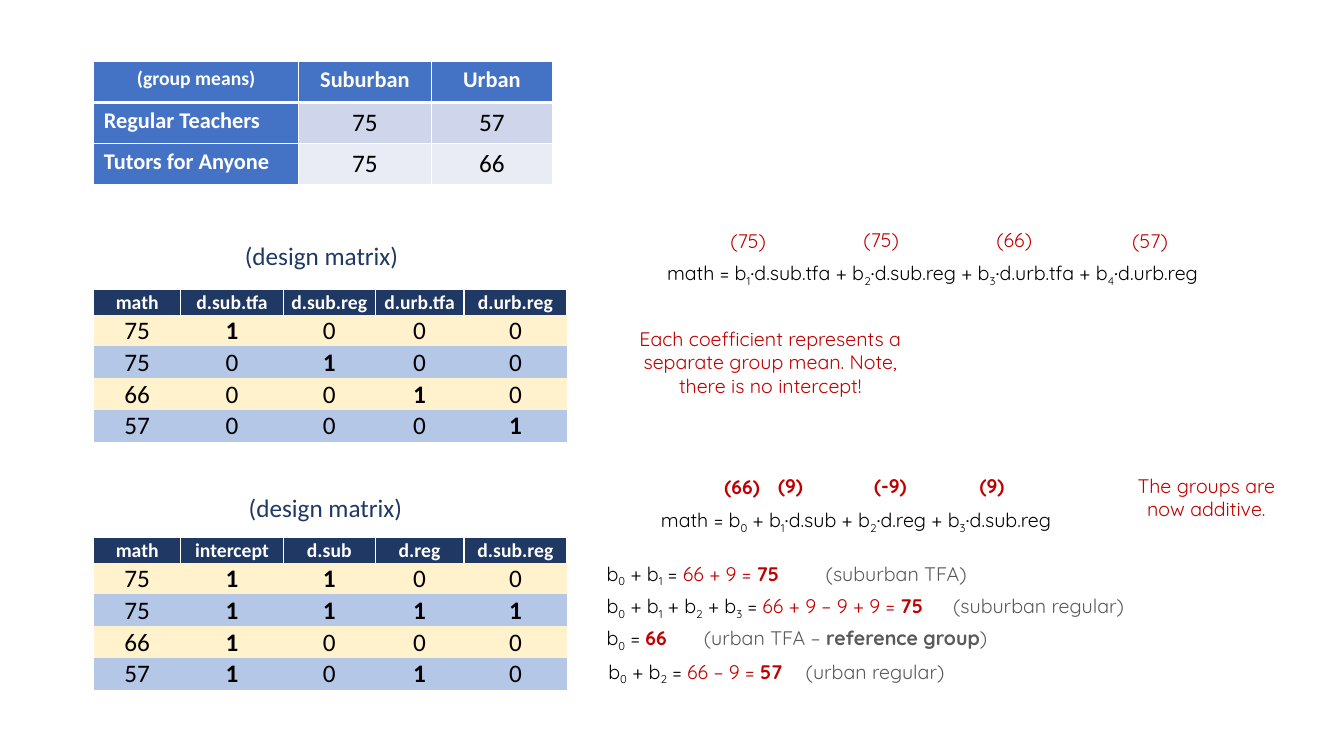
from dataclasses import dataclass
from itertools import cycle
from typing import NamedTuple

from lxml.etree import SubElement
from pptx import Presentation
from pptx.dml.color import RGBColor
from pptx.enum.text import MSO_ANCHOR, PP_ALIGN
from pptx.oxml.ns import qn
from pptx.util import Pt

COLORS = {
    "white": "FFFFFF", "black": "000000", "navy": "203864", "red": "C00000",
    "gray": "595959", "cream": "FFF2CC", "sky": "B4C7E7",
    "blue": "4472C4", "dusk": "CFD5EA", "mist": "E9EBF5",
}
PLAIN = "{2D5ABB26-0587-4C30-8999-92F81FD0307C}"  # table style without grid
LEFT, CENTER = PP_ALIGN.LEFT, PP_ALIGN.CENTER


class Run(NamedTuple):
    text: str
    color: str = "black"
    bold: bool = False
    size: float = 14
    font: str = "Quicksand"
    sub: bool = False


class Box(NamedTuple):
    left: float
    top: float
    width: float
    height: float = 24.5


class Answer(NamedTuple):
    left: float
    top: float
    terms: str
    total: str
    mean: str
    tab: float
    label: list[Run]


@dataclass
class Matrix:
    top: float
    heads: list[str]
    rows: list[str]


def rgb(name: str) -> RGBColor:
    return RGBColor.from_string(COLORS[name])


def add_run(para, item: Run) -> None:
    run = para.add_run()
    run.text = item.text
    font = run.font
    font.name, font.size, font.bold = item.font, Pt(item.size), item.bold
    font.color.rgb = rgb(item.color)
    if item.sub:
        run._r.get_or_add_rPr().set("baseline", "-25000")


def add_text(box: Box, runs: list[Run], align=LEFT, tab: float = 0) -> None:
    frame = slide.shapes.add_textbox(*map(Pt, box)).text_frame
    frame.word_wrap = True
    para = frame.paragraphs[0]
    para.alignment = align
    if tab:
        stops = SubElement(para._p.get_or_add_pPr(), qn("a:tabLst"))
        SubElement(stops, qn("a:tab"), pos=str(Pt(tab)), algn="l")
    for item in runs:
        add_run(para, item)


def split_terms(text: str) -> list[Run]:
    """Turn the digit after each underscore into a subscript."""
    first, *rest = text.split("_")
    runs = [Run(first)]
    for part in rest:
        runs += [Run(part[0], sub=True), Run(part[1:])]
    return runs


def add_grid(left: float, top: float, cols: list[float], rows: list[float]):
    box = Box(left, top, sum(cols), sum(rows))
    grid = slide.shapes.add_table(len(rows), len(cols), *map(Pt, box)).table
    grid.first_row = grid.horz_banding = False
    grid._tbl.tblPr.find(qn("a:tableStyleId")).text = PLAIN
    for col, width in zip(grid.columns, cols):
        col.width = Pt(width)
    for row, height in zip(grid.rows, rows):
        row.height = Pt(height)
    return grid


def fill_cell(cell, item: Run, fill: str, edges: dict[str, float], align=CENTER) -> None:
    para = cell.text_frame.paragraphs[0]
    para.alignment = align
    add_run(para, item)
    props = cell._tc.get_or_add_tcPr()
    for side, width in edges.items():
        line = SubElement(props, qn(f"a:ln{side}"), w=str(Pt(width)))
        paint = SubElement(line, qn("a:solidFill"))
        SubElement(paint, qn("a:srgbClr"), val=COLORS["white"])
    cell.fill.solid()
    cell.fill.fore_color.rgb = rgb(fill)


def add_matrix(matrix: Matrix) -> None:
    grid = add_grid(67, matrix.top, [62, 73.5, 65.5, 63.5, 73.5], [18] + [22.65] * 4)
    for col, head in enumerate(matrix.heads):
        fill_cell(grid.cell(0, col), Run(head, "white", True, 14, "Calibri"),
                  "navy", {"L": 1, "R": 1, "T": 1})
    for row, (line, fill) in enumerate(zip(matrix.rows, cycle(["cream", "sky"])), 1):
        for col, value in enumerate(line.split()):
            fill_cell(grid.cell(row, col), Run(value, "black", value == "1", 18, "Calibri"),
                      fill, {})
    for cell in grid.iter_cells():
        cell.vertical_anchor = MSO_ANCHOR.BOTTOM
        cell.margin_left = cell.margin_right = cell.margin_top = Pt(0.7)
        cell.margin_bottom = Pt(0)


deck = Presentation()
deck.slide_width, deck.slide_height = Pt(960), Pt(540)
slide = deck.slides.add_slide(deck.slide_layouts[6])

# Group means
MEANS = [
    (["(group means)", "Suburban", "Urban"], "blue"),
    (["Regular Teachers", "75", "57"], "dusk"),
    (["Tutors for Anyone", "75", "66"], "mist"),
]
means = add_grid(67, 44, [146.2, 95, 86.4], [29.2] * 3)
for row, (values, fill) in enumerate(MEANS):
    for col, value in enumerate(values):
        head = row == 0 or col == 0
        size = 14 if row == col == 0 else 16 if head else 18
        fill_cell(means.cell(row, col),
                  Run(value, "white" if head else "black", head, size, "Calibri"),
                  "blue" if head else fill,
                  {"L": 1, "R": 1, "T": 3 if row == 1 else 1, "B": 3 if row == 0 else 1},
                  LEFT if row and col == 0 else CENTER)

# Design matrices
for matrix in [
    Matrix(206.8, ["math", "d.sub.tfa", "d.sub.reg", "d.urb.tfa", "d.urb.reg"],
           ["75 1 0 0 0", "75 0 1 0 0", "66 0 0 1 0", "57 0 0 0 1"]),
    Matrix(383.8, ["math", "intercept", "d.sub", "d.reg", "d.sub.reg"],
           ["75 1 1 0 0", "75 1 1 1 1", "66 1 0 0 0", "57 1 0 1 0"]),
]:
    add_matrix(matrix)
for left, top in [(167.8, 168), (170.6, 348)]:
    add_text(Box(left, top, 132, 29),
             [Run("(design matrix)", "navy", size=18, font="Calibri")])

# Model equations
add_text(Box(469.4, 183, 437),
         split_terms("math = b_1∙d.sub.tfa + b_2∙d.sub.reg + b_3∙d.urb.tfa + b_4∙d.urb.reg"))
add_text(Box(465, 359.5, 328),
         split_terms("math = b_0 + b_1∙d.sub + b_2∙d.reg + b_3∙d.sub.reg"))

# Coefficient values above the equations
for value, left, top, bold in [
    ("(75)", 504, 160, False), ("(75)", 599, 159, False),
    ("(66)", 694, 159, False), ("(57)", 791, 160, False),
    ("(66)", 499.7, 336, True), ("(9)", 534.2, 335, True),
    ("(-9)", 605.5, 335, True), ("(9)", 678.2, 335, True),
]:
    add_text(Box(left, top, 61), [Run(value, "red", bold)], CENTER)

# Remarks
add_text(Box(440.5, 229.7, 219.6, 58.3),
         [Run("Each coefficient represents a separate group mean. "
              "Note, there is no intercept!", "red")], CENTER)
add_text(Box(802, 334.8, 119.5, 41),
         [Run("The groups are now additive.", "red")], CENTER)

# Group means worked out from the coefficients
for item in [
    Answer(426.2, 397.5, "b_0 + b_1 = ", "66 + 9 = ", "75", 156.5,
           [Run("(suburban TFA)", "gray")]),
    Answer(426.2, 420.5, "b_0 + b_1 + b_2 + b_3 = ", "66 + 9 – 9 + 9 = ", "75", 247.5,
           [Run("(suburban regular)", "gray")]),
    Answer(426.2, 443.5, "b_0 = ", "", "66", 69.5,
           [Run("(urban TFA – ", "gray"), Run("reference group", "gray", True),
            Run(")", "gray")]),
    Answer(427.4, 467.5, "b_0 + b_2 = ", "66 – 9 = ", "57", 141,
           [Run("(urban regular)", "gray")]),
]:
    runs = split_terms(item.terms)
    if item.total:
        runs.append(Run(item.total, "red"))
    runs += [Run(item.mean, "red", True), Run("\t", "gray"), *item.label]
    add_text(Box(item.left, item.top, 408), runs, tab=item.tab)

deck.save("out.pptx")
